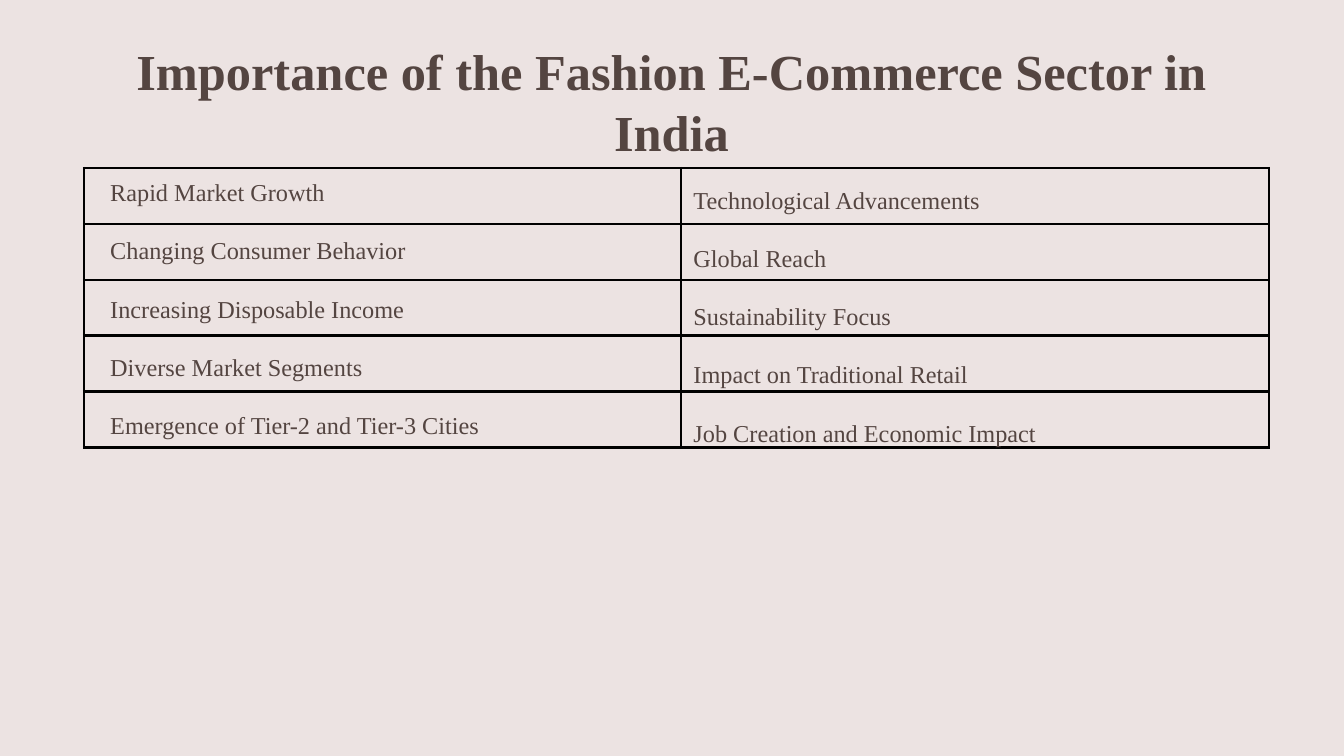
from lxml.etree import SubElement
from pptx import Presentation
from pptx.dml.color import RGBColor
from pptx.enum.text import MSO_ANCHOR, MSO_AUTO_SIZE, PP_ALIGN
from pptx.oxml.ns import qn
from pptx.util import Pt

# Content
TITLE = "Importance of the Fashion E-Commerce Sector in India"
LEFT = [
    "Rapid Market Growth",
    "Changing Consumer Behavior",
    "Increasing Disposable Income",
    "Diverse Market Segments",
    "Emergence of Tier-2 and Tier-3 Cities",
]
RIGHT = [
    "Technological Advancements",
    "Global Reach",
    "Sustainability Focus",
    "Impact on Traditional Retail",
    "Job Creation and Economic Impact",
]

# Style
FONT = "Times New Roman"
BROWN = RGBColor(0x54, 0x45, 0x41)
BLUSH = RGBColor(0xEC, 0xE3, 0xE2)
BLACK = RGBColor(0, 0, 0)
LINE = 31.2  # line pitch of the lists

# Places: left, top, width, height
HEAD_BOX = (100, 43.2, 1239, 72.8)
LEFT_BOX = (118.1, 190.1, 416.9, 281.5)
RIGHT_BOX = (743, 198, 436.3, 281.5)
GRID = (90, 180)
COLS = (639.4, 630)
ROW = 59.9


def fill_box(shape, box, lines, size, pitch, align, bold=False):
    """Move a placeholder and set its lines, one blank pitch apart."""
    shape.left, shape.top, shape.width, shape.height = map(Pt, box)
    frame = shape.text_frame
    frame.text = "\n".join(lines)
    frame.word_wrap = True
    frame.auto_size = MSO_AUTO_SIZE.SHAPE_TO_FIT_TEXT
    frame.vertical_anchor = MSO_ANCHOR.TOP
    frame.margin_left = frame.margin_right = 0
    frame.margin_top = frame.margin_bottom = 0
    for i, para in enumerate(frame.paragraphs):
        props = para._p.get_or_add_pPr()
        props.set("marL", "0")
        props.set("indent", "0")
        SubElement(props, qn("a:buNone"))
        para.alignment = align
        para.line_spacing = Pt(pitch)
        para.space_before = Pt(pitch if i else 0)
        for run in para.runs:
            font = run.font
            font.name, font.size, font.bold = FONT, Pt(size), bold
            font.color.rgb = BROWN


def add_edges(cell, color, width):
    """Draw a solid line on all four sides of a cell."""
    props = cell._tc.get_or_add_tcPr()
    for i, side in enumerate(("lnL", "lnR", "lnT", "lnB")):
        edge = props.makeelement(qn(f"a:{side}"), {"w": str(Pt(width))})
        solid = SubElement(edge, qn("a:solidFill"))
        SubElement(solid, qn("a:srgbClr"), val=str(color))
        props.insert(i, edge)


def main():
    deck = Presentation()
    deck.slide_width, deck.slide_height = Pt(1440), Pt(810)
    slide = deck.slides.add_slide(deck.slide_layouts[3])
    back = slide.background.fill
    back.solid()
    back.fore_color.rgb = BLUSH

    # Empty grid behind the lists
    count = len(LEFT)
    size = (sum(COLS), ROW * count)
    holder = slide.shapes.add_table(count, len(COLS), *map(Pt, GRID + size))
    table = holder.table
    table.first_row = table.horz_banding = False
    for col, width in zip(table.columns, COLS):
        col.width = Pt(width)
    for row in table.rows:
        row.height = Pt(ROW)
        for cell in row.cells:
            cell.fill.background()
            add_edges(cell, BLACK, 3)
    slide.shapes._spTree.insert(2, holder._element)

    # Title and the two lists
    head, left, right = slide.placeholders
    fill_box(head, HEAD_BOX, [TITLE], 54, 64.8, PP_ALIGN.CENTER, True)
    fill_box(left, LEFT_BOX, LEFT, 26, LINE, PP_ALIGN.LEFT)
    fill_box(right, RIGHT_BOX, RIGHT, 26, LINE, PP_ALIGN.LEFT)

    deck.save("out.pptx")


if __name__ == "__main__":
    main()
